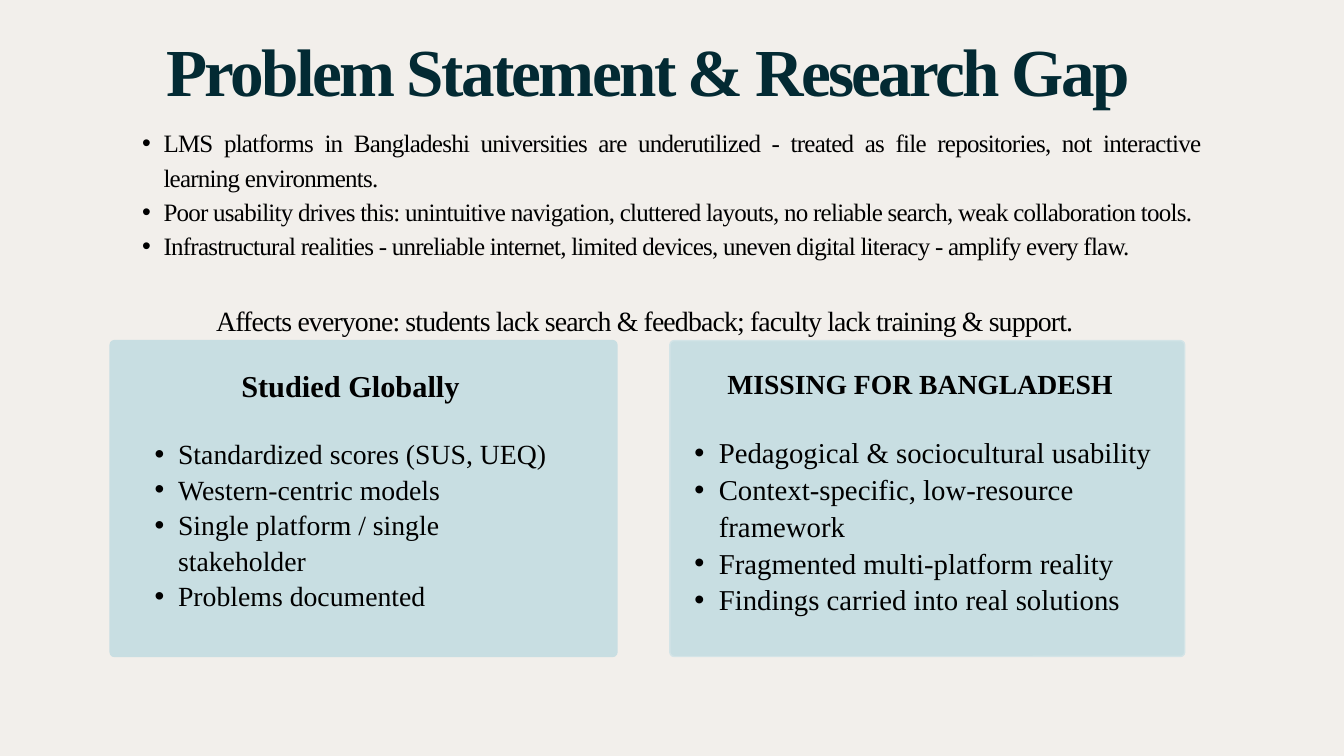
from dataclasses import dataclass
from lxml.etree import SubElement
from pptx import Presentation
from pptx.dml.color import RGBColor
from pptx.enum.shapes import MSO_SHAPE
from pptx.enum.text import MSO_ANCHOR, MSO_AUTO_SIZE, PP_ALIGN
from pptx.oxml.ns import qn
from pptx.util import Pt


@dataclass(frozen=True)
class Theme:
    font: str = "Times New Roman"
    background: str = "F2EFEB"
    text: str = "000000"
    title_top: str = "032A33"
    title_bottom: str = "106470"
    card: str = "C8DEE2"
    card_edge: str = "D3E4E7"
    title_size: float = 72
    problem_size: float = 26.8
    impact_size: float = 29.8
    studied_heading_size: float = 32.5
    studied_size: float = 29.7
    missing_heading_size: float = 29.6
    missing_size: float = 30.8


THEME = Theme()

PROBLEMS = [
    "LMS platforms in Bangladeshi universities are underutilized - treated as file repositories, "
    "not interactive learning environments.",
    "Poor usability drives this: unintuitive navigation, cluttered layouts, no reliable search, "
    "weak collaboration tools.",
    "Infrastructural realities - unreliable internet, limited devices, uneven digital literacy - "
    "amplify every flaw.",
]
IMPACT = "Affects everyone: students lack search & feedback; faculty lack training & support."
STUDIED = [
    "Standardized scores (SUS, UEQ)",
    "Western-centric models",
    "Single platform / single stakeholder",
    "Problems documented",
]
MISSING = [
    "Pedagogical & sociocultural usability",
    "Context-specific, low-resource framework",
    "Fragmented multi-platform reality",
    "Findings carried into real solutions",
]


def apply(target, formats):
    for name, value in formats.items():
        setattr(target, name, value)


def place(shape, box):
    apply(shape, dict(zip(("left", "top", "width", "height"), map(Pt, box))))


def prepare_frame(tf):
    apply(tf, {
        "word_wrap": True,
        "auto_size": MSO_AUTO_SIZE.NONE,
        "vertical_anchor": MSO_ANCHOR.TOP,
        "margin_left": 0, "margin_top": 0, "margin_right": 0, "margin_bottom": 0,
    })


def add_frame(s, box):
    tf = s.shapes.add_textbox(*map(Pt, box)).text_frame
    prepare_frame(tf)
    return tf


def write(p, text, size, leading, align=PP_ALIGN.LEFT, before=0, bold=False, tracking=0):
    apply(p, {
        "alignment": align,
        "line_spacing": Pt(leading),
        "space_before": Pt(before),
        "space_after": Pt(0),
    })
    r = p.add_run()
    r.text = text
    apply(r.font, {"name": THEME.font, "size": Pt(size), "bold": bold})
    r.font.color.rgb = RGBColor.from_string(THEME.text)
    if tracking:
        r.font._element.set("spc", str(round(tracking * 100)))
    return r


def indent(p, margin, hanging=0):
    pPr = p._p.get_or_add_pPr()
    pPr.set("marL", str(Pt(margin)))
    pPr.set("indent", str(-Pt(hanging)))
    return pPr


def add_bullets(tf, items, margin, **style):
    for i, item in enumerate(items):
        p = tf.add_paragraph() if i else tf.paragraphs[0]
        pPr = indent(p, margin, margin / 2)
        SubElement(pPr, qn("a:buFont"), typeface="Arial")
        SubElement(pPr, qn("a:buChar"), char="•")
        write(p, item, **style)


def add_title(s, text):
    title = s.shapes.title
    place(title, (129.6, 45.4, 1129, 79.2))
    prepare_frame(title.text_frame)
    r = write(title.text_frame.paragraphs[0], text, THEME.title_size, 72,
              PP_ALIGN.CENTER, bold=True, tracking=-2.9)
    fill = r.font.fill
    fill.gradient()
    fill.gradient_angle = 270
    for stop, color in zip(fill.gradient_stops, (THEME.title_top, THEME.title_bottom)):
        stop.color.rgb = RGBColor.from_string(color)


def add_problems(s):
    tf = add_frame(s, (129.6, 132.5, 1156.3, 261.4))
    add_bullets(tf, PROBLEMS, 45.6, size=THEME.problem_size, leading=36.7,
                align=PP_ALIGN.JUSTIFY, tracking=-0.8)
    p = tf.add_paragraph()
    indent(p, 102)
    write(p, IMPACT, THEME.impact_size, 40.8, before=40.8, tracking=-0.9)


def add_card(s, left, width, edge):
    card = s.shapes.add_shape(MSO_SHAPE.ROUNDED_RECTANGLE, Pt(left), Pt(365), Pt(width), Pt(338.4))
    card.adjustments[0] = 0.013
    card.shadow.inherit = False
    card.fill.solid()
    card.fill.fore_color.rgb = RGBColor.from_string(THEME.card)
    card.line.color.rgb = RGBColor.from_string(edge)
    card.line.width = Pt(1.5)


def add_heading(s, text, box, size, leading):
    p = add_frame(s, box).paragraphs[0]
    write(p, text, size, leading, PP_ALIGN.CENTER, bold=True)


def main():
    prs = Presentation()
    apply(prs, {"slide_width": Pt(1440), "slide_height": Pt(810)})
    s = prs.slides.add_slide(prs.slide_layouts[5])
    s.background.fill.solid()
    s.background.fill.fore_color.rgb = RGBColor.from_string(THEME.background)

    add_title(s, "Problem Statement & Research Gap")
    add_problems(s)

    add_card(s, 118.1, 542.9, THEME.card)
    add_heading(s, "Studied Globally", (161.7, 386.6, 427.7, 45.4),
                THEME.studied_heading_size, 45.5)
    add_bullets(add_frame(s, (140.4, 465.8, 455, 190)), STUDIED, 50.4,
                size=THEME.studied_size, leading=38)

    add_card(s, 717.8, 551.5, THEME.card_edge)
    add_heading(s, "MISSING FOR BANGLADESH", (763.9, 390.2, 444.2, 38.2),
                THEME.missing_heading_size, 38)
    add_bullets(add_frame(s, (717.8, 463.7, 545, 193.7)), MISSING, 52.4,
                size=THEME.missing_size, leading=39.4)

    prs.save("out.pptx")


if __name__ == "__main__":
    main()
